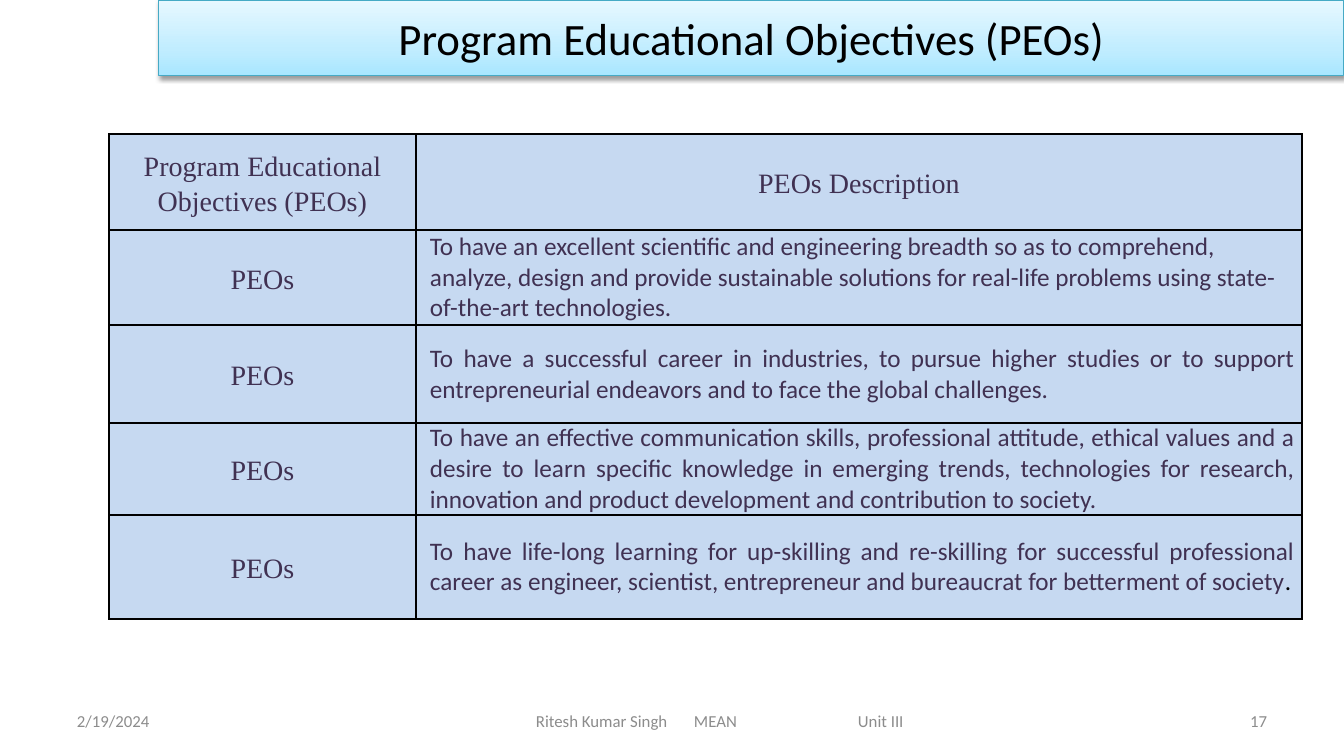
import dataclasses
import typing

import lxml.etree
import pptx
import pptx.dml.color
import pptx.enum.shapes
import pptx.enum.text
import pptx.oxml.ns
import pptx.util

EMU_PER_PX = 914400 / 100.8
ALIGN = pptx.enum.text.PP_ALIGN
MIDDLE = pptx.enum.text.MSO_ANCHOR.MIDDLE
BLACK = "000000"
GREY = "8C8C8C"
PURPLE = "403152"
PALE_BLUE = "C6D9F1"
TEAL = "46AAC5"


@dataclasses.dataclass(frozen=True)
class Style:
    font: str
    size: int
    color: str
    align: ALIGN
    spacing: float = 1.0
    indent: int = 0


@dataclasses.dataclass(frozen=True)
class Footer:
    text: str
    left: int
    width: int
    align: ALIGN
    inset: int = 10
    tabs: tuple[int, ...] = ()


@dataclasses.dataclass(frozen=True)
class Objective:
    text: str
    height: int
    align: ALIGN = ALIGN.JUSTIFY
    ending: str = ""


LABEL = Style("Times New Roman", 20, PURPLE, ALIGN.CENTER, spacing=1.15)
TITLE = Style("Calibri", 32, BLACK, ALIGN.CENTER)

HEADINGS = ("Program Educational Objectives (PEOs)", "PEOs Description")
HEADING_HEIGHT = 96
COLUMN_WIDTHS = (307, 886)
OBJECTIVES = (
    Objective(
        "To have an excellent scientific and engineering breadth so as to comprehend, "
        "analyze, design and provide sustainable solutions for real-life problems "
        "using state-of-the-art technologies.", 95, ALIGN.LEFT),
    Objective(
        "To have a successful career in industries, to pursue higher studies or to "
        "support entrepreneurial endeavors and to face the global challenges.", 98),
    Objective(
        "To have an effective communication skills, professional attitude, ethical "
        "values and a desire to learn specific knowledge in emerging trends, "
        "technologies for research, innovation and product development and "
        "contribution to society.", 92),
    Objective(
        "To have life-long learning for up-skilling and re-skilling for successful "
        "professional career as engineer, scientist, entrepreneur and bureaucrat for "
        "betterment of society", 104, ending="."),
)
FOOTERS = (
    Footer("2/19/2024", 67, 314, ALIGN.LEFT),
    Footer("Ritesh Kumar Singh\tMEAN\tUnit III", 445, 555, ALIGN.LEFT, 91, (158, 322)),
    Footer("17", 963, 314, ALIGN.RIGHT),
)


def px(length: int) -> pptx.util.Emu:
    return pptx.util.Emu(round(length * EMU_PER_PX))


def rgb(color: str) -> pptx.dml.color.RGBColor:
    return pptx.dml.color.RGBColor.from_string(color)


def add_element(parent: typing.Any, tag: str, **attributes: typing.Any) -> typing.Any:
    values = {name: str(value) for name, value in attributes.items()}
    return lxml.etree.SubElement(parent, pptx.oxml.ns.qn(tag), values)


def add_span(para: typing.Any, text: str, style: Style) -> None:
    span = para.add_run()
    span.text = text
    span.font.name = style.font
    span.font.size = pptx.util.Pt(style.size)
    span.font.color.rgb = rgb(style.color)


def write(frame: typing.Any, text: str, style: Style) -> typing.Any:
    frame.word_wrap = True
    para = frame.paragraphs[0]
    para.alignment = style.align
    para.line_spacing = style.spacing
    if style.indent:
        properties = para._p.get_or_add_pPr()
        properties.set("marL", str(px(style.indent)))
        properties.set("indent", "0")
    add_span(para, text, style)
    return para


def add_title(page: typing.Any) -> None:
    banner = page.shapes.add_shape(
        pptx.enum.shapes.MSO_SHAPE.RECTANGLE, px(159), px(0), px(1185), px(76))
    banner.fill.gradient()
    banner.fill.gradient_angle = 90
    properties = banner._element.spPr
    stops = properties.find(".//" + pptx.oxml.ns.qn("a:gsLst"))
    stops.clear()
    for percent, color in ((0, "A7E6FF"), (35, "C1EDFF"), (100, "E7F8FF")):
        stop = add_element(stops, "a:gs", pos=percent * 1000)
        add_element(stop, "a:srgbClr", val=color)
    banner.line.color.rgb = rgb(TEAL)
    banner.line.width = pptx.util.Pt(0.75)
    banner.shadow.inherit = False
    effects = properties.find(pptx.oxml.ns.qn("a:effectLst"))
    shadow = add_element(
        effects, "a:outerShdw", blurRad=40000, dist=20000, dir=5400000, rotWithShape=0)
    shade = add_element(shadow, "a:srgbClr", val=BLACK)
    add_element(shade, "a:alpha", val=38000)
    banner.text_frame.vertical_anchor = MIDDLE
    write(banner.text_frame, HEADINGS[0], TITLE)


def fill_cell(cell: typing.Any, text: str, style: Style) -> typing.Any:
    properties = cell._tc.get_or_add_tcPr()
    for side in ("a:lnL", "a:lnR", "a:lnT", "a:lnB"):
        border = add_element(properties, side, w=pptx.util.Pt(1))
        paint = add_element(border, "a:solidFill")
        add_element(paint, "a:srgbClr", val=BLACK)
    cell.fill.solid()
    cell.fill.fore_color.rgb = rgb(PALE_BLUE)
    cell.vertical_anchor = MIDDLE
    cell.margin_left = cell.margin_right = px(7)
    cell.margin_top = cell.margin_bottom = 0
    return write(cell.text_frame, text, style)


def add_objectives(page: typing.Any) -> None:
    heights = [HEADING_HEIGHT] + [objective.height for objective in OBJECTIVES]
    table = page.shapes.add_table(
        len(heights), len(COLUMN_WIDTHS), px(109), px(134),
        px(sum(COLUMN_WIDTHS)), px(sum(heights))).table
    table.first_row = False
    table.horz_banding = False
    for column, width in zip(table.columns, COLUMN_WIDTHS):
        column.width = px(width)
    for row, height in zip(table.rows, heights):
        row.height = px(height)
    for index, heading in enumerate(HEADINGS):
        fill_cell(table.cell(0, index), heading, LABEL)
    for index, objective in enumerate(OBJECTIVES, start=1):
        fill_cell(table.cell(index, 0), "PEOs", LABEL)
        style = Style("Calibri", 18, PURPLE, objective.align, indent=7)
        para = fill_cell(table.cell(index, 1), objective.text, style)
        if objective.ending:
            add_span(para, objective.ending, dataclasses.replace(style, color=BLACK))


def add_footer(page: typing.Any, footer: Footer) -> None:
    box = page.shapes.add_textbox(px(footer.left), px(701), px(footer.width), px(40))
    frame = box.text_frame
    frame.vertical_anchor = MIDDLE
    frame.margin_left = px(footer.inset)
    para = write(frame, footer.text, Style("Calibri", 12, GREY, footer.align))
    if footer.tabs:
        stops = add_element(para._p.get_or_add_pPr(), "a:tabLst")
        for position in footer.tabs:
            add_element(stops, "a:tab", pos=px(position), algn="l")


def main() -> None:
    deck = pptx.Presentation()
    deck.slide_width = px(1344)
    deck.slide_height = px(756)
    page = deck.slides.add_slide(deck.slide_layouts[6])
    for footer in FOOTERS:
        add_footer(page, footer)
    add_title(page)
    add_objectives(page)
    deck.save("out.pptx")


if __name__ == "__main__":
    main()
